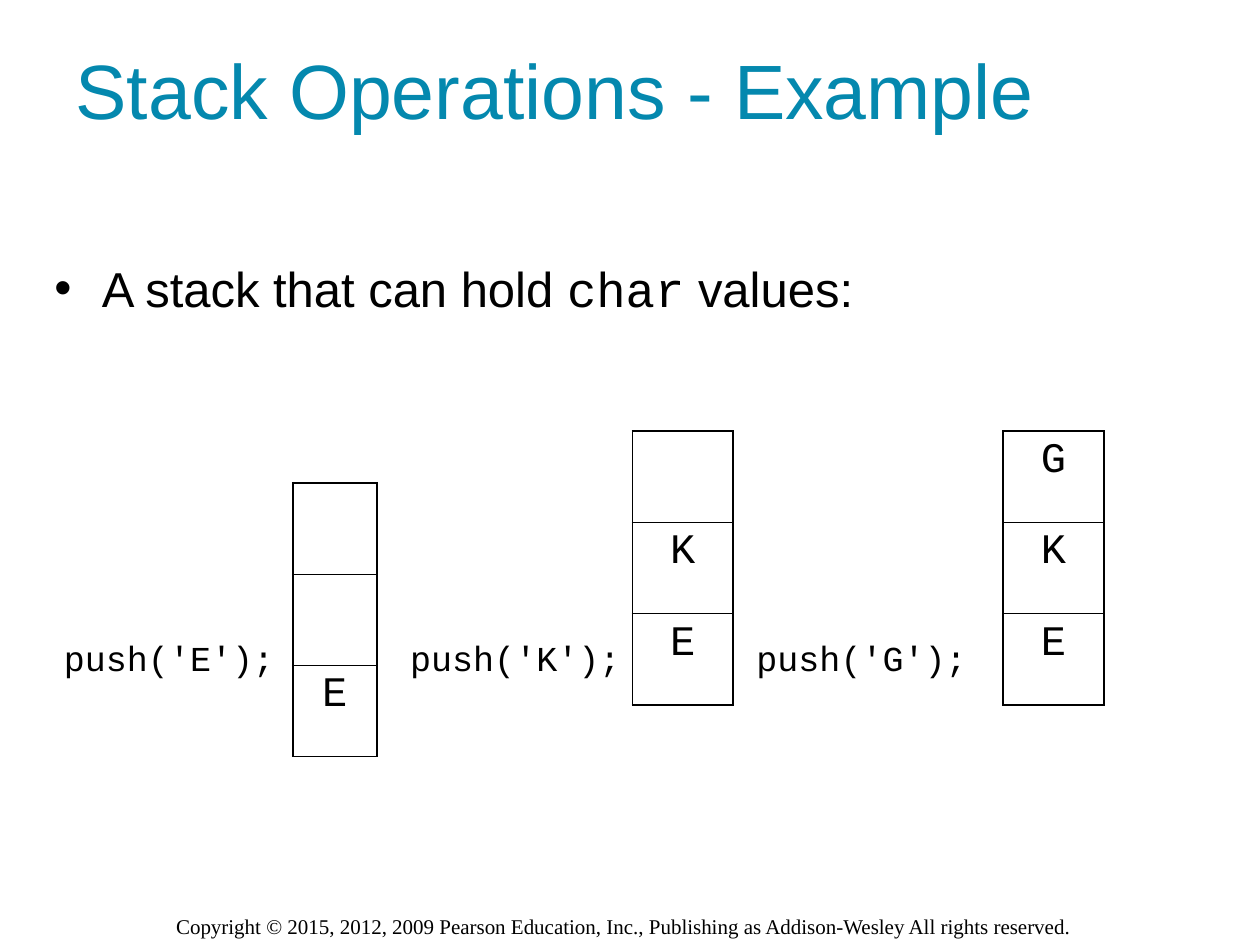
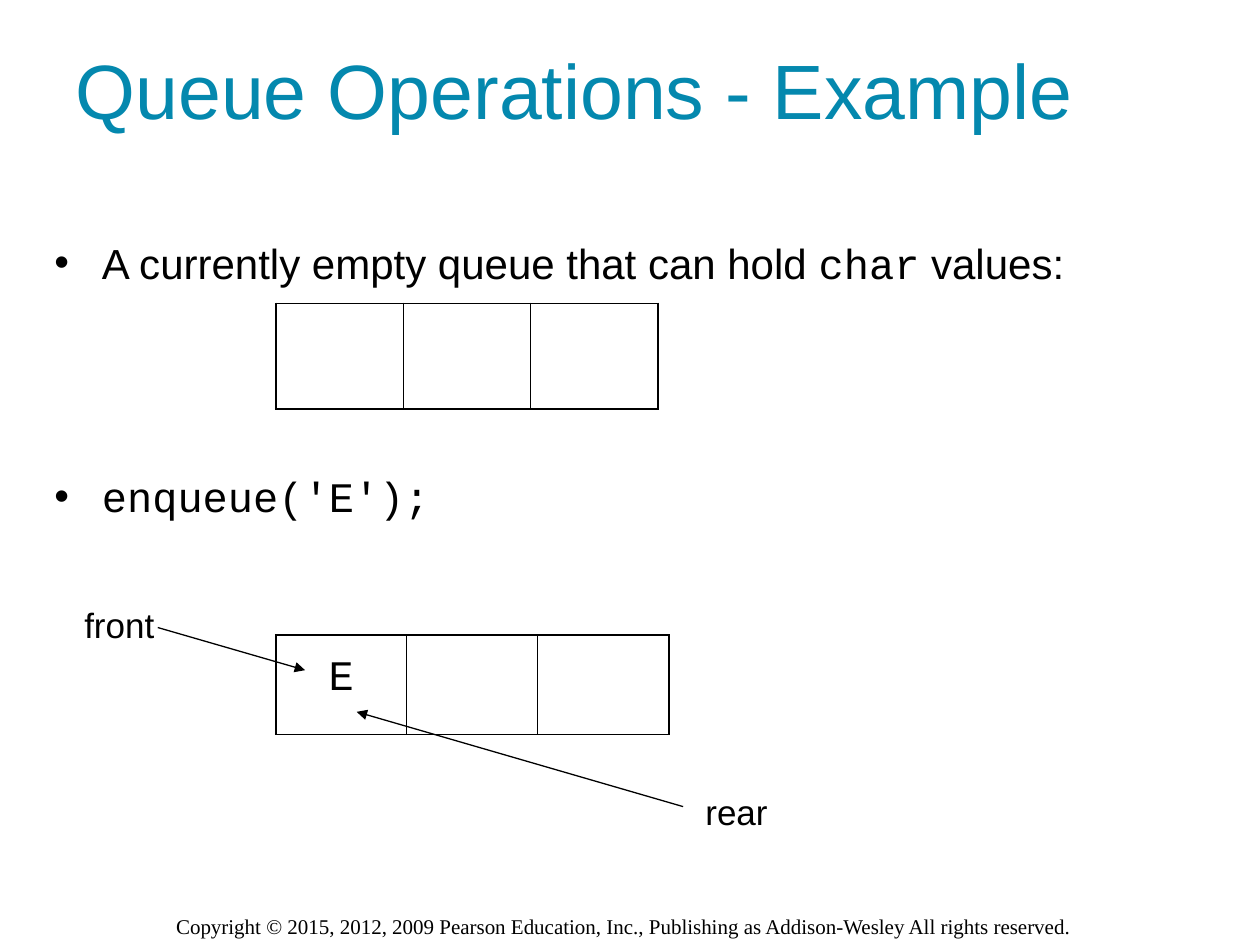
"""Build two slides that show stack and queue operations."""
from lxml import etree
from pptx import Presentation
from pptx.dml.color import RGBColor
from pptx.enum.shapes import MSO_CONNECTOR
from pptx.enum.text import MSO_AUTO_SIZE, PP_ALIGN
from pptx.oxml.ns import qn
from pptx.util import Cm, Pt

LEFT, CENTER = PP_ALIGN.LEFT, PP_ALIGN.CENTER
NO_FIT, GROW = MSO_AUTO_SIZE.NONE, MSO_AUTO_SIZE.SHAPE_TO_FIT_TEXT
STRAIGHT = MSO_CONNECTOR.STRAIGHT

SANS, MONO, SERIF = "Arial", "Courier New", "Times New Roman"
BLACK, TEAL = "000000", "0488AE"
OUTER, INNER = 1.08, 0.45
COPYRIGHT = ("Copyright © 2015, 2012, 2009 Pearson Education, Inc., "
             "Publishing as Addison-Wesley All rights reserved.")


def add_run(para, text, size, font, color=BLACK):
    span = para.add_run()
    span.text = text
    span.font.size = Pt(size)
    span.font.name = font
    span.font.color.rgb = RGBColor.from_string(color)


def add_cells(page, rows, left, top, cell_width, cell_height, spacing):
    row_count, column_count = len(rows), len(rows[0])
    table = page.shapes.add_table(
        row_count, column_count, Cm(left), Cm(top),
        Cm(cell_width * column_count), Cm(cell_height * row_count)).table
    table.first_row = table.horz_banding = False
    for row_index, letters in enumerate(rows):
        for column_index, letter in enumerate(letters):
            cell = table.cell(row_index, column_index)
            edges = {"a:lnL": column_index == 0,
                     "a:lnR": column_index == column_count - 1,
                     "a:lnT": row_index == 0,
                     "a:lnB": row_index == row_count - 1}
            properties = cell._tc.get_or_add_tcPr()
            for tag, is_outer in edges.items():
                width = Pt(OUTER if is_outer else INNER)
                border = etree.SubElement(properties, qn(tag), w=str(int(width)))
                fill = etree.SubElement(border, qn("a:solidFill"))
                etree.SubElement(fill, qn("a:srgbClr"), val=BLACK)
            cell.fill.background()
            if letter.strip():
                para = cell.text_frame.paragraphs[0]
                para.alignment = CENTER
                para.line_spacing = spacing
                add_run(para, letter, 24, MONO)


push_labels = [(f"push('{letter}');", 1.04 + 6.98 * index, 12.7, 4.9, 1.12, 20, MONO)
               for index, letter in enumerate("EKG")]
footer = (COPYRIGHT, 3.3, 18.29, 18.85, 0.76, 12, SERIF)

slides = [
    {
        "title": "Stack Operations - Example",
        "body": (0.84, 5.08, 22.81, 12.7),
        "size": 28,
        "bullets": [[("A stack that can hold ", SANS), ("char", MONO), (" values:", SANS)]],
        "cells": [([" ", "K", "E"], 12.75, 8.69, 2.03, 1.84, 1),
                  (["G", "K", "E"], 20.22, 8.69, 2.03, 1.84, 1),
                  ([" ", " ", "E"], 5.9, 9.73, 1.7, 1.84, 1)],
        "labels": push_labels,
        "arrows": [],
    },
    {
        "title": "Queue Operations - Example",
        "body": (0.84, 4.65, 23.93, 13.77),
        "size": 24,
        "bullets": [[("A currently empty queue that can hold ", SANS), ("char", MONO),
                     (" values:", SANS)],
                    [("enqueue('E');", MONO)]],
        "cells": [(["   "], 5.56, 6.12, 2.57, 2.13, 1),
                  (["E  "], 5.56, 12.8, 2.64, 2.01, 1.3)],
        "labels": [("front", 1.45, 12.04, 2.2, 1.12, 20, SANS),
                   ("rear", 13.97, 15.82, 2.2, 1.12, 20, SANS)],
        "arrows": [(3.18, 12.65, 6.15, 13.51), (13.77, 16.26, 7.19, 14.35)],
    },
]

deck = Presentation()
deck.slide_width, deck.slide_height = Cm(25.4), Cm(19.05)
layout = deck.slide_layouts[1]
title_frame = layout.placeholders[0]
title_frame.left, title_frame.top = Cm(1.27), Cm(0.2)
title_frame.width, title_frame.height = Cm(21.16), Cm(3.18)

for content in slides:
    page = deck.slides.add_slide(layout)
    title = page.shapes.title.text_frame
    title.auto_size = NO_FIT
    title.paragraphs[0].alignment = LEFT
    add_run(title.paragraphs[0], content["title"], 44, SANS, TEAL)

    body = page.placeholders[1]
    body.left, body.top, body.width, body.height = map(Cm, content["body"])
    body.text_frame.auto_size = NO_FIT
    body.text_frame.margin_top = Cm(0.13)
    for index, pieces in enumerate(content["bullets"]):
        para = body.text_frame.add_paragraph() if index else body.text_frame.paragraphs[0]
        properties = para._p.get_or_add_pPr()
        properties.set("marL", str(Cm(0.96)))
        properties.set("indent", str(-Cm(0.96)))
        para.space_before = Pt(104.5 if index else 0)
        for text, font in pieces:
            add_run(para, text, content["size"], font)

    for cells in content["cells"]:
        add_cells(page, *cells)

    for text, left, top, width, height, size, font in [footer, *content["labels"]]:
        box = page.shapes.add_textbox(Cm(left), Cm(top), Cm(width), Cm(height))
        box.text_frame.word_wrap = True
        box.text_frame.auto_size = GROW
        add_run(box.text_frame.paragraphs[0], text, size, font)

    for ends in content["arrows"]:
        arrow = page.shapes.add_connector(STRAIGHT, *map(Cm, ends))
        arrow.line.width = Pt(0.75)
        arrow.line.color.rgb = RGBColor.from_string(BLACK)
        etree.SubElement(arrow.line._get_or_add_ln(), qn("a:tailEnd"), type="triangle")
        etree.SubElement(arrow._element.spPr, qn("a:effectLst"))

deck.save("out.pptx")
